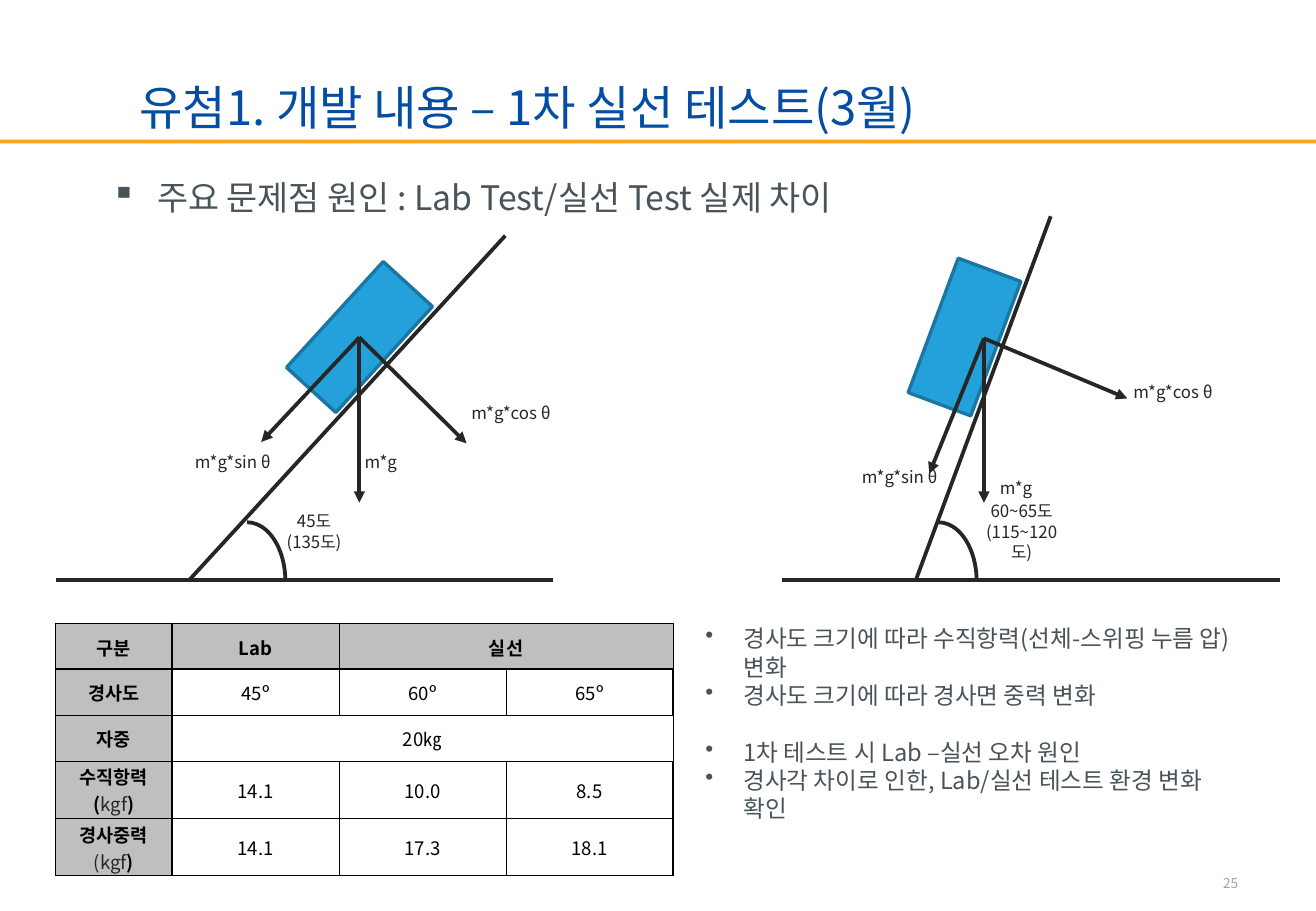
import pptx
import pptx.dml.color
import pptx.enum.shapes
import pptx.enum.text
import pptx.oxml
import pptx.oxml.ns
import pptx.util
from dataclasses import dataclass

Pt = pptx.util.Pt
ALIGN = pptx.enum.text.PP_ALIGN
ANCHOR = pptx.enum.text.MSO_ANCHOR
SHAPE = pptx.enum.shapes.MSO_SHAPE
NAMESPACE = pptx.oxml.ns.nsdecls("a")


@dataclass(frozen=True)
class Theme:
    font: str = "Noto Sans CJK KR"
    title: str = "034EA2"
    body: str = "48535A"
    ink: str = "262627"
    muted: str = "9CA3A7"
    rule: str = "FAA619"
    block: str = "24A1DB"
    block_edge: str = "1B77A2"
    header: str = "BFBFBF"
    border: str = "000000"
    title_size: float = 28
    heading_size: float = 20
    note_size: float = 14
    table_size: float = 11
    label_size: float = 10
    number_size: float = 8
    line_factor: float = 1.2
    stroke: float = 2.25


class SlideBuilder:
    def __init__(self, slide, theme):
        self.slide = slide
        self.theme = theme

    def color(self, value):
        return pptx.dml.color.RGBColor.from_string(value)

    def format_run(self, run, size, color, bold=False):
        run.font.name = self.theme.font
        run.font.size = Pt(size)
        run.font.bold = bold
        run.font.color.rgb = self.color(color)
        run.font._element.append(pptx.oxml.parse_xml(
            f'<a:ea {NAMESPACE} typeface="{self.theme.font}"/>'))

    def text(self, text, box, size, color, align=ALIGN.LEFT, anchor=ANCHOR.MIDDLE,
             bullet=None, indent=0, gap_before=()):
        """Adds a text box; gap_before lists paragraphs set off by one line."""
        shape = self.slide.shapes.add_textbox(*map(Pt, box))
        frame = shape.text_frame
        frame.word_wrap = True
        frame.vertical_anchor = anchor
        frame.text = text
        line_height = Pt(size * self.theme.line_factor)
        for index, paragraph in enumerate(frame.paragraphs):
            paragraph.alignment = align
            paragraph.line_spacing = line_height
            if index in gap_before:
                paragraph.space_before = line_height
            if bullet:
                properties = paragraph._p.get_or_add_pPr()
                properties.set("marL", str(Pt(indent)))
                properties.set("indent", str(-Pt(indent)))
                properties.append(pptx.oxml.parse_xml(
                    f'<a:buChar {NAMESPACE} char="{bullet}"/>'))
            for run in paragraph.runs:
                self.format_run(run, size, color)

    def label(self, text, left, top, width):
        self.text(text, (left, top, width, 22.3), self.theme.label_size,
                  self.theme.ink, ALIGN.CENTER)

    def line(self, start, end, arrow=False):
        connector = self.slide.shapes.add_connector(
            pptx.enum.shapes.MSO_CONNECTOR.STRAIGHT, *map(Pt, (*start, *end)))
        connector.line.color.rgb = self.color(self.theme.ink)
        connector.line.width = Pt(self.theme.stroke)
        if arrow:
            connector.line._get_or_add_ln().append(
                pptx.oxml.parse_xml(f'<a:tailEnd {NAMESPACE} type="triangle"/>'))
        connector._element.spPr.append(pptx.oxml.parse_xml(f"<a:effectLst {NAMESPACE}/>"))

    def shape(self, kind, box, fill=None, edge=None, width=0, rotation=0):
        shape = self.slide.shapes.add_shape(kind, *map(Pt, box))
        shape.shadow.inherit = False
        shape.rotation = rotation
        if fill:
            shape.fill.solid()
            shape.fill.fore_color.rgb = self.color(fill)
        else:
            shape.fill.background()
        if edge:
            shape.line.color.rgb = self.color(edge)
            shape.line.width = Pt(width)
        else:
            shape.line.fill.background()

    def incline(self, ground_left, slope_foot, slope_top, arc_left, block_left,
                tilt, center, sine_end, cosine_end, labels):
        """Draws a block on a slope with its weight and the two components."""
        theme = self.theme
        ground = 343.7
        self.line(slope_top, (slope_foot, ground))
        self.line((ground_left, ground), (ground_left + 295, ground))
        self.shape(SHAPE.ARC, (arc_left, 309.6, 45.4, 69.8), edge=theme.ink,
                   width=theme.stroke)
        self.shape(SHAPE.RECTANGLE, (block_left, 180, 85, 39.6), theme.block,
                   theme.block_edge, 2, tilt)
        for end in ((center[0], 298), sine_end, cosine_end):
            self.line(center, end, arrow=True)
        for label in labels:
            self.label(*label)

    def cell_borders(self, cell, row, column, last_row, last_column):
        # Outer edges and header edges are heavier than the inner grid
        heavy = {"L": column <= 1, "R": column in (0, last_column),
                 "T": row <= 1, "B": row in (0, last_row)}
        properties = cell._tc.get_or_add_tcPr()
        for position, (side, is_heavy) in enumerate(heavy.items()):
            width = Pt(1 if is_heavy else 0.5)
            properties.insert(position, pptx.oxml.parse_xml(
                f'<a:ln{side} {NAMESPACE} w="{width}"><a:solidFill>'
                f'<a:srgbClr val="{self.theme.border}"/></a:solidFill></a:ln{side}>'))

    def table(self, rows, widths, heights, left, top, merges):
        """Cells hold paragraphs, each a list of (text, bold) runs."""
        theme = self.theme
        table = self.slide.shapes.add_table(
            len(rows), len(widths), Pt(left), Pt(top), Pt(sum(widths)),
            Pt(sum(heights))).table
        table.first_row = table.horz_banding = False
        for column, width in zip(table.columns, widths):
            column.width = Pt(width)
        for row_index, row in enumerate(rows):
            table.rows[row_index].height = Pt(heights[row_index])
            for column_index, content in enumerate(row):
                cell = table.cell(row_index, column_index)
                is_header = row_index == 0 or column_index == 0
                cell.vertical_anchor = ANCHOR.MIDDLE
                cell.margin_left = cell.margin_right = cell.margin_top = Pt(0.7)
                cell.margin_bottom = 0
                if is_header:
                    cell.fill.solid()
                    cell.fill.fore_color.rgb = self.color(theme.header)
                else:
                    cell.fill.background()
                self.cell_borders(cell, row_index, column_index,
                                  len(rows) - 1, len(widths) - 1)
                if isinstance(content, str):
                    content = [[(content, is_header)]]
                for index, pieces in enumerate(content):
                    frame = cell.text_frame
                    paragraph = frame.add_paragraph() if index else frame.paragraphs[0]
                    paragraph.alignment = ALIGN.CENTER
                    for text, bold in pieces:
                        run = paragraph.add_run()
                        run.text = text
                        color = theme.ink if is_header and not bold else theme.border
                        self.format_run(run, theme.table_size, color, bold)
        for row, first, last in merges:
            table.cell(row, first).merge(table.cell(row, last))


def main():
    presentation = pptx.Presentation()
    presentation.slide_width, presentation.slide_height = Pt(780), Pt(540)
    slide = presentation.slides.add_slide(presentation.slide_layouts[6])
    theme = Theme()
    builder = SlideBuilder(slide, theme)

    # Heading and page number
    builder.shape(SHAPE.RECTANGLE, (0, 82.8, 780, 2.2), theme.rule)
    builder.text("유첨1. 개발 내용 – 1차 실선 테스트(3월)", (75.6, 51.1, 546.5, 23.8),
                 theme.title_size, theme.title)
    builder.text("주요 문제점 원인 : Lab Test/실선 Test 실제 차이", (59, 101.2, 546.5, 23.8),
                 theme.heading_size, theme.body, anchor=ANCHOR.TOP, bullet="▪", indent=27)
    builder.text("25", (558.7, 506.9, 182.2, 33.1), theme.number_size, theme.muted, ALIGN.RIGHT)

    # Lab slope at 45 degrees
    builder.incline(
        ground_left=33, slope_foot=112.3, slope_top=(299.5, 139.7), arc_left=123.8,
        block_left=170.6, tilt=312.4, center=(213, 200),
        sine_end=(154.8, 262), cosine_end=(276.5, 262.8),
        labels=[("45도(135도)", 160.6, 303.8, 51), ("m*g", 200.2, 262.8, 51),
                ("m*g*cos θ", 243.4, 233.3, 118.8), ("m*g*sin θ", 78.5, 262.8, 118.8)])

    # Ship slope at 60 to 65 degrees
    builder.incline(
        ground_left=463.7, slope_foot=542.9, slope_top=(622.8, 128.2), arc_left=533.5,
        block_left=529.2, tilt=290.4, center=(583.2, 200.6),
        sine_end=(550.8, 280.8), cosine_end=(668.2, 236.2),
        labels=[("60~65도\n(115~120도)", 571.7, 303.8, 67.7), ("m*g", 576.7, 277.9, 51),
                ("m*g*cos θ", 635.8, 221, 118.8), ("m*g*sin θ", 473.8, 271.4, 118.8)])

    # Comparison table, with taller rows for the two-line labels
    normal_force = [[("수직항력", True)], [("(", True), ("kgf", False), (")", True)]]
    slope_force = [[("경사중력", True)], [("(kgf", False), (")", True)]]
    builder.table(
        [["구분", "Lab", "실선", ""],
         ["경사도", "45º", "60º", "65º"],
         ["자중", "20㎏", "", ""],
         [normal_force, "14.1", "10.0", "8.5"],
         [slope_force, "14.1", "17.3", "18.1"]],
        widths=[69] + [99] * 3, heights=[27.2] * 3 + [34] * 2, left=33, top=369.5,
        merges=[(0, 2, 3), (2, 1, 3)])

    # Findings
    findings = ["경사도 크기에 따라 수직항력(선체-스위핑 누름 압) 변화",
                "경사도 크기에 따라 경사면 중력 변화",
                "1차 테스트 시 Lab –실선 오차 원인",
                "경사각 차이로 인한, Lab/실선 테스트 환경 변화\v확인"]
    builder.text("\n".join(findings), (411, 366.5, 347.8, 136), theme.note_size, theme.body,
                 anchor=ANCHOR.TOP, bullet="•", indent=22.5, gap_before=(2,))

    presentation.save("out.pptx")


if __name__ == "__main__":
    main()
